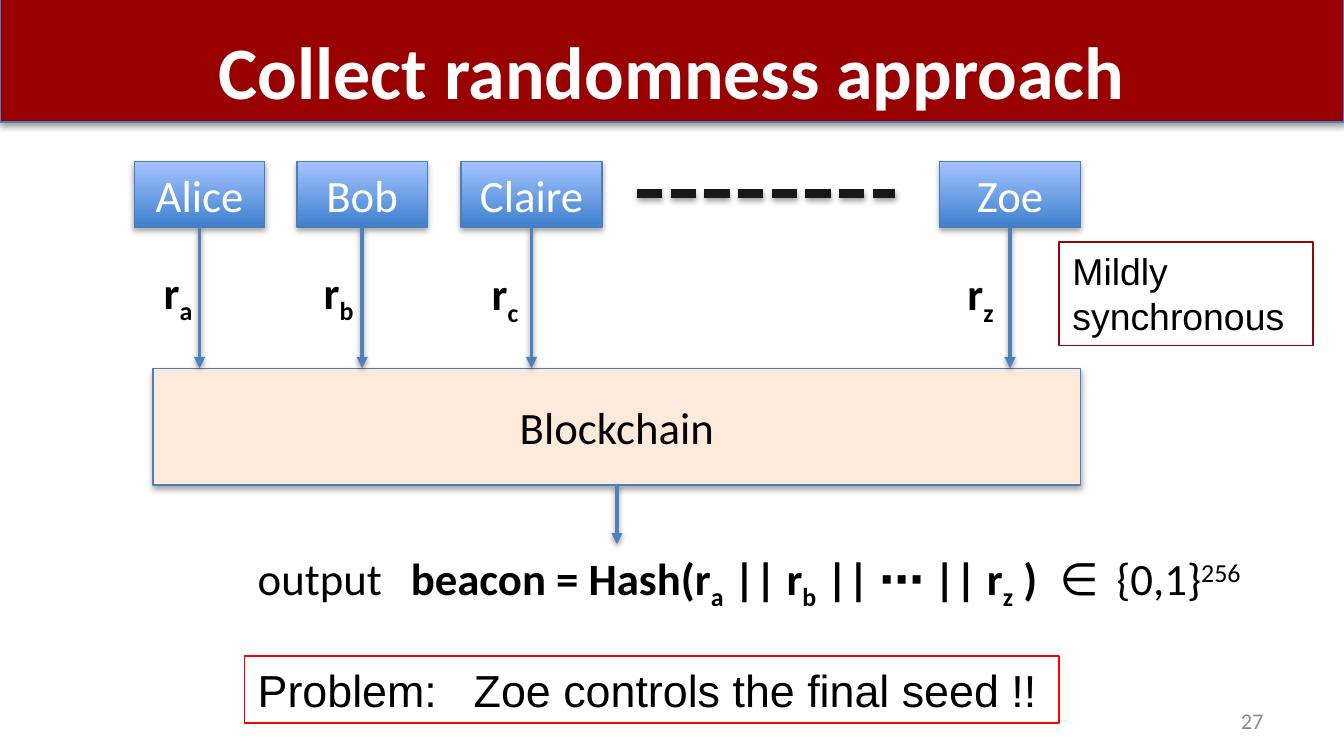
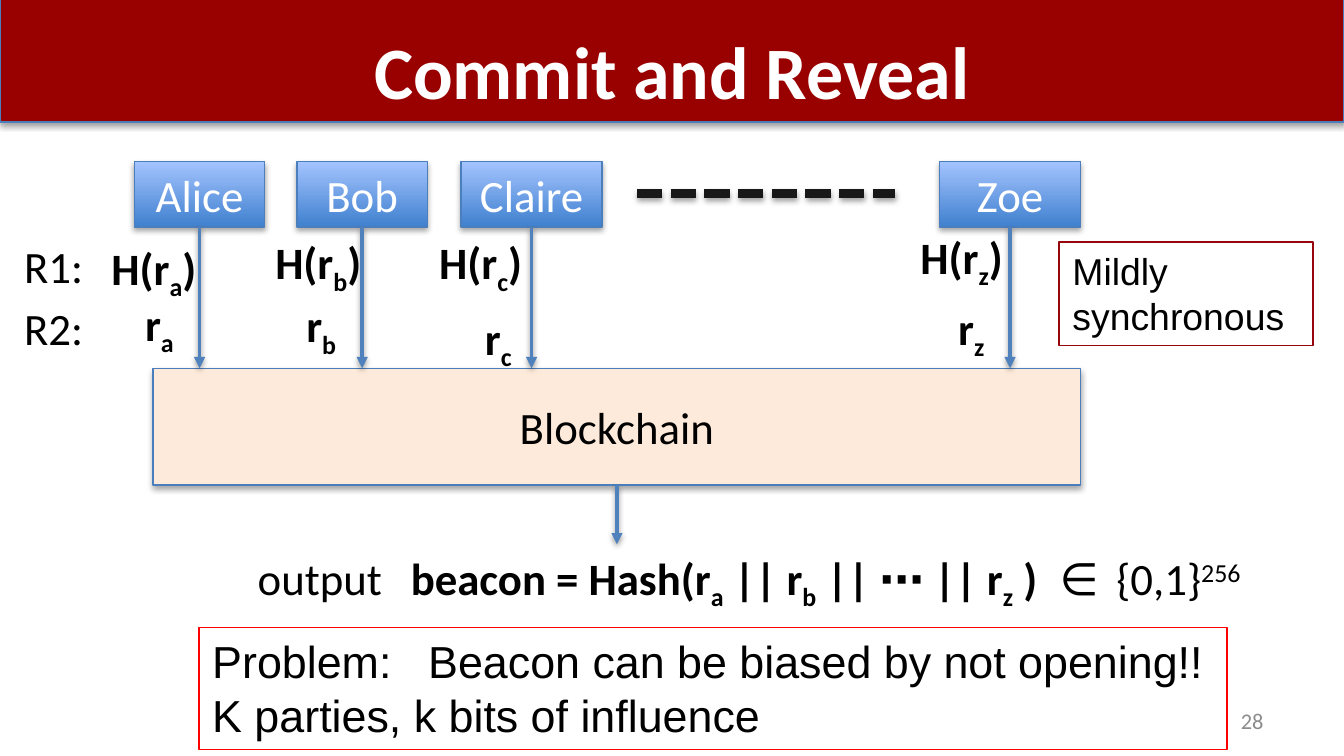
"""Build two slides on randomness beacons."""
import pptx
import pptx.dml.color
import pptx.enum.dml
import pptx.enum.shapes
import pptx.enum.text
import pptx.oxml.ns
import pptx.util
from lxml import etree

Pt = pptx.util.Pt
qn = pptx.oxml.ns.qn
ALIGN = pptx.enum.text.PP_ALIGN
ANCHOR = pptx.enum.text.MSO_ANCHOR
RECTANGLE = pptx.enum.shapes.MSO_SHAPE.RECTANGLE
STRAIGHT = pptx.enum.shapes.MSO_CONNECTOR.STRAIGHT
DASH = pptx.enum.dml.MSO_LINE.SQUARE_DOT

COLORS = {
    "band": "990000", "edge": "4B7EBC", "white": "FFFFFF", "black": "000000",
    "box_low": "3F80CE", "box_high": "A4C4FF", "chain": "FDEADA",
    "arrow": "4F81BD", "dash": "181818", "problem": "FF0000",
    "note": "96060B", "number": "8C8C8C",
}
PARTIES = [
    ("Alice", "a", 72, 69.84),
    ("Bob", "b", 159.12, 69.84),
    ("Claire", "c", 246.96, 75.6),
    ("Zoe", "z", 503.28, 75.6),
]
LABEL_WIDTHS = {"a": 30.2, "b": 31.7, "c": 29.5, "z": 29.5}
PARTY_TOP, PARTY_HEIGHT = 86.4, 35.28
CHAIN = (82.1, 197.3, 496.8, 62.6)
BEACON = [
    ("output\t", False, 0), ("beacon = Hash(r", True, 0), ("a", True, -25),
    (" || r", True, 0), ("b", True, -25), (" || ⋯ || r", True, 0),
    ("z", True, -25), (" )\t", True, 0), ("∈\t{0,1}", False, 0),
    ("256", False, 30),
]


def rgb(name):
    return pptx.dml.color.RGBColor.from_string(COLORS[name])


class Deck:
    """Hold the shared style and the current slide."""

    def __init__(self):
        self.presentation = pptx.Presentation()
        self.presentation.slide_width = Pt(720)
        self.presentation.slide_height = Pt(405)
        self.slide = None

    def start(self, title, number):
        self.slide = self.presentation.slides.add_slide(
            self.presentation.slide_layouts[6])
        self.box((0, -0.7, 720, 66.2), "band", "edge", shadow=True)
        self.text((36, 10.1, 648, 49), title, size=39.6, color="white",
                  bold=True, align=ALIGN.CENTER)
        self.text((516.2, 375.1, 167.8, 21.6), str(number), size=12,
                  color="number", align=ALIGN.RIGHT, anchor=ANCHOR.MIDDLE)

    def fill_text(self, shape, content, size=24, color="black", font="Calibri",
                  bold=None, align=ALIGN.LEFT, anchor=ANCHOR.TOP, wrap=True,
                  tabs=()):
        frame = shape.text_frame
        frame.word_wrap = wrap
        frame.vertical_anchor = anchor
        lines = content.split("\n") if isinstance(content, str) else [content]
        for index, line in enumerate(lines):
            paragraph = frame.paragraphs[0] if index == 0 else frame.add_paragraph()
            paragraph.alignment = align
            if tabs:
                stops = etree.SubElement(paragraph._p.get_or_add_pPr(), qn("a:tabLst"))
                for position in tabs:
                    etree.SubElement(stops, qn("a:tab"), pos=str(Pt(position)), algn="l")
            paragraph.font.name = font
            paragraph.font.size = Pt(size)
            paragraph.font.bold = bold
            paragraph.font.color.rgb = rgb(color)
            pieces = [(line, False, 0)] if isinstance(line, str) else line
            for words, strong, baseline in pieces:
                run = paragraph.add_run()
                run.text = words
                if strong:
                    run.font.bold = True
                if baseline:
                    run._r.get_or_add_rPr().set("baseline", str(baseline * 1000))

    def text(self, area, content, **style):
        shape = self.slide.shapes.add_textbox(*map(Pt, area))
        self.fill_text(shape, content, **style)

    def box(self, area, fill, line, content=None, shadow=False, **style):
        shape = self.slide.shapes.add_shape(RECTANGLE, *map(Pt, area))
        shape.shadow.inherit = False
        if fill is None:
            shape.fill.background()
        elif fill == "gradient":
            shape.fill.gradient()
            shape.fill.gradient_angle = 90
            for stop, name in zip(shape.fill.gradient_stops, ("box_low", "box_high")):
                stop.color.rgb = rgb(name)
        else:
            shape.fill.solid()
            shape.fill.fore_color.rgb = rgb(fill)
        shape.line.color.rgb = rgb(line)
        shape.line.width = Pt(0.75)
        if shadow:
            self.shadow(shape._element.spPr.find(qn("a:effectLst")), 35, 1.8)
        if content:
            self.fill_text(shape, content, **style)
        return shape

    def shadow(self, effects, opacity, distance):
        outer = etree.SubElement(
            effects, qn("a:outerShdw"), blurRad=str(Pt(3.1)),
            dist=str(Pt(distance)), dir="5400000", rotWithShape="0")
        color = etree.SubElement(outer, qn("a:srgbClr"), val=COLORS["black"])
        etree.SubElement(color, qn("a:alpha"), val=str(opacity * 1000))

    def connector(self, start, end, color, width):
        connector = self.slide.shapes.add_connector(STRAIGHT, *map(Pt, start + end))
        connector.line.color.rgb = rgb(color)
        connector.line.width = Pt(width)
        effects = etree.SubElement(connector._element.spPr, qn("a:effectLst"))
        self.shadow(effects, 38, 1.6)
        return connector

    def arrow(self, source, bottom):
        middle = (source.left + source.width / 2) / Pt(1)
        top = (source.top + source.height) / Pt(1)
        connector = self.connector((middle, top), (middle, bottom), "arrow", 2)
        connector.begin_connect(source, 2)
        line = connector._element.spPr.get_or_add_ln()
        etree.SubElement(line, qn("a:tailEnd"), type="triangle")

    def label(self, letter, left, top, hashed=False):
        pieces = [("H(r" if hashed else "r", True, 0), (letter, True, -25)]
        width = LABEL_WIDTHS[letter]
        if hashed:
            pieces.append((")", True, 0))
            width += 30.5
        self.text((left, top, width, 36), pieces, wrap=False)

    def protocol(self):
        centered = {"align": ALIGN.CENTER, "anchor": ANCHOR.MIDDLE}
        parties = [
            self.box((left, PARTY_TOP, width, PARTY_HEIGHT), "gradient", "edge",
                     name, shadow=True, color="white", **centered)
            for name, _, left, width in PARTIES]
        chain = self.box(CHAIN, "chain", "edge", "Blockchain", shadow=True, **centered)
        dashes = self.connector((341.3, 103.7), (479.5, 103.7), "dash", 4.5)
        dashes.line.dash_style = DASH
        for party in parties:
            self.arrow(party, CHAIN[1])
        self.arrow(chain, 291.6)
        self.text((131, 291.6, 553.7, 36), BEACON, tabs=(82, 429.6, 460))
        self.box((567.4, 129.6, 136.1, 55.6), None, "note", "Mildly synchronous",
                 size=20, font="Arial")

    def labels(self, places, hashed=False):
        for (_, letter, _, _), (left, top) in zip(PARTIES, places):
            self.label(letter, left, top, hashed)

    def problem(self, area, content):
        self.box(area, None, "problem", content, font="Arial", tabs=(115.7,))


def main():
    deck = Deck()

    deck.start("Collect randomness approach", 27)
    deck.protocol()
    deck.labels([(80.6, 138.2), (166.3, 138.2), (256.3, 139), (511.2, 139)])
    deck.problem((131, 351.4, 436.3, 36), "Problem:\tZoe controls the final seed !!")

    deck.start("Commit and Reveal", 28)
    deck.protocol()
    deck.labels([(52.6, 125.3), (140.4, 122.4), (228.2, 122.4), (486, 119.5)], hashed=True)
    deck.labels([(70.6, 155.5), (157, 156.2), (252.7, 162.7), (506.2, 157.7)])
    for name, top in (("R1:", 124.6), ("R2:", 157.7)):
        deck.text((5.8, top, 61.2, 36), name)
    deck.problem((106.6, 336.2, 550.8, 65.5),
                 "Problem:\tBeacon can be biased by not opening!!\n"
                 "K parties, k bits of influence")

    deck.presentation.save("out.pptx")


if __name__ == "__main__":
    main()
